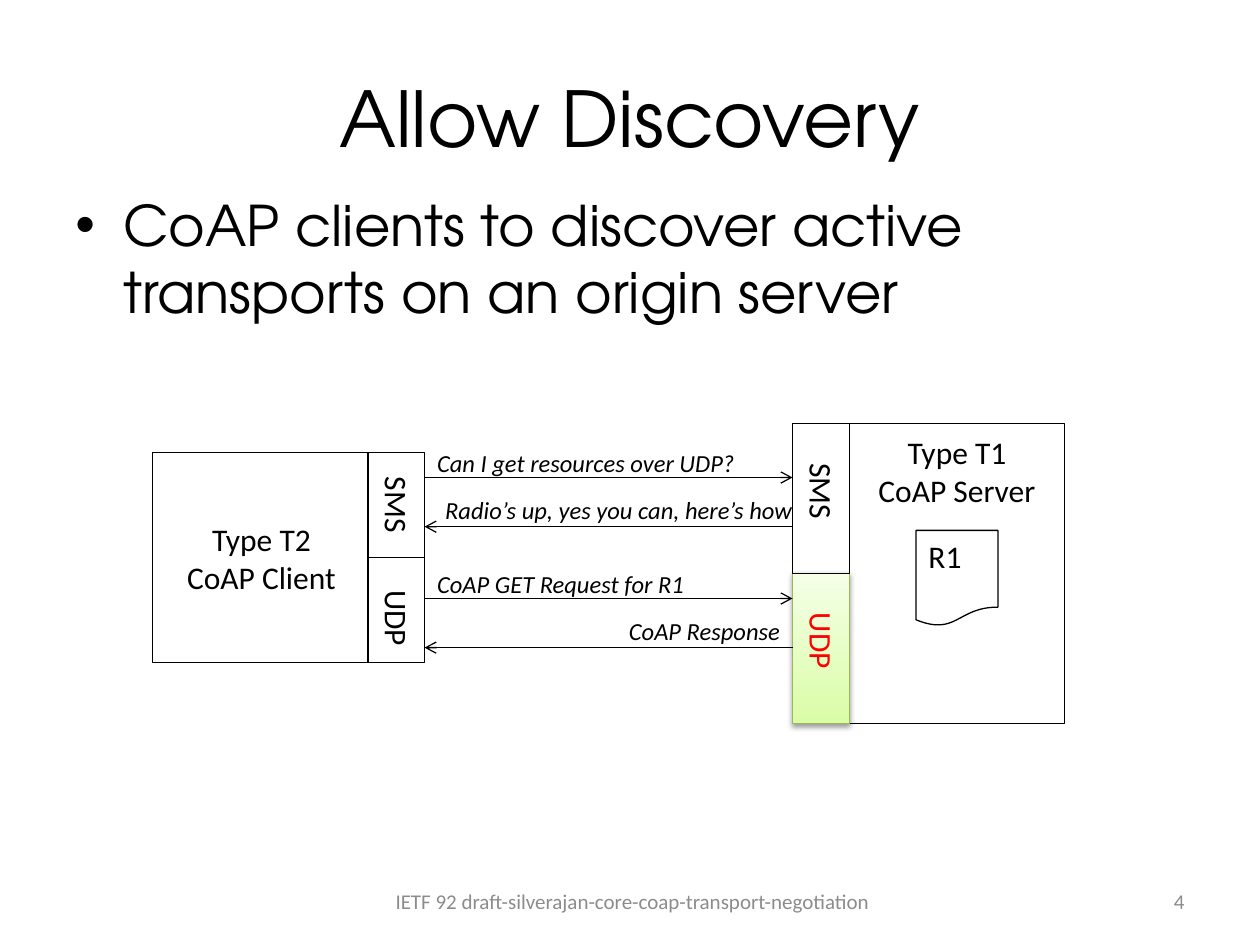
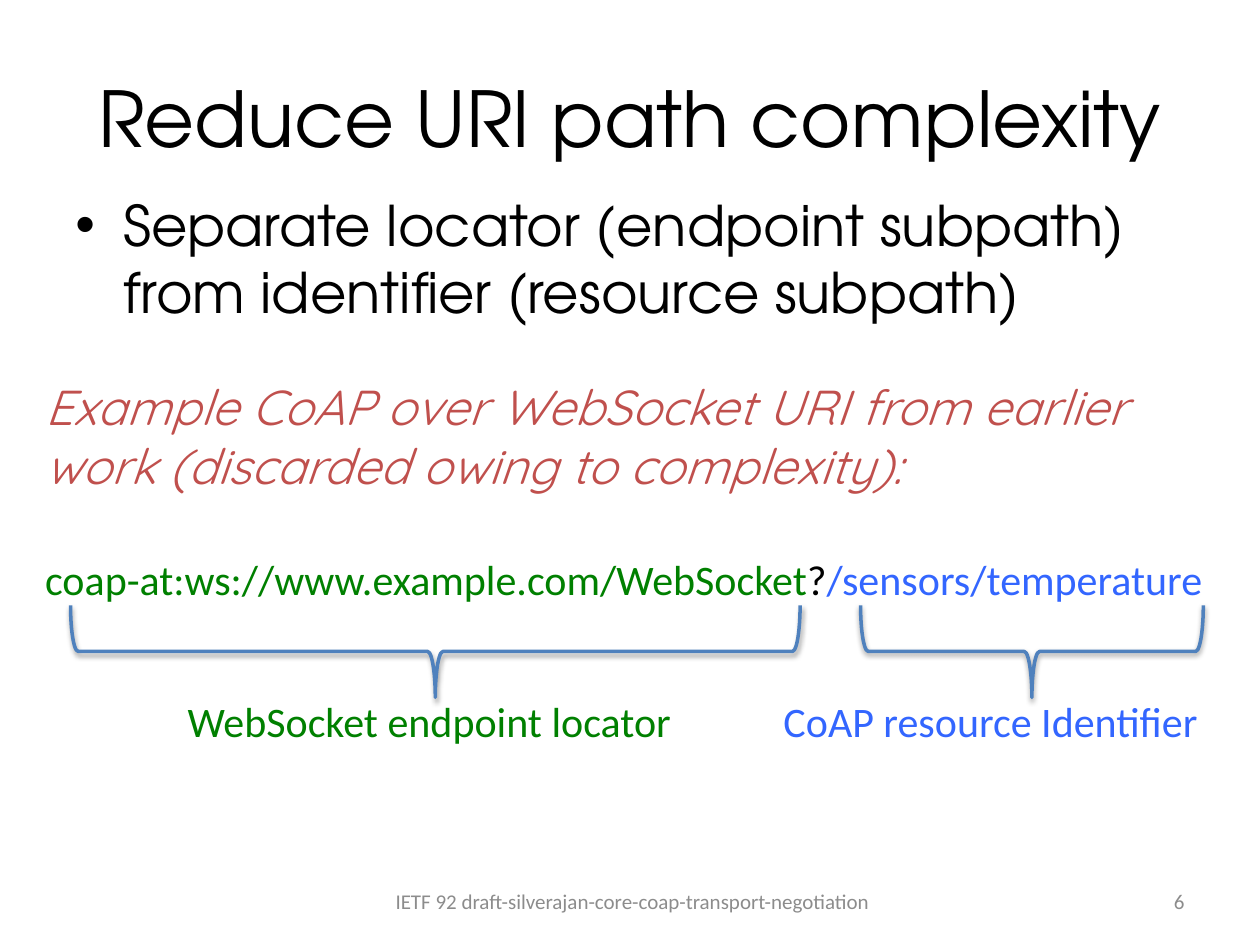
from dataclasses import dataclass

from lxml import etree
from pptx import Presentation
from pptx.dml.color import RGBColor
from pptx.enum.shapes import MSO_CONNECTOR, MSO_SHAPE
from pptx.enum.text import MSO_ANCHOR, PP_ALIGN
from pptx.oxml.ns import qn
from pptx.util import Inches, Pt

LEFT, CENTER, RIGHT = PP_ALIGN.LEFT, PP_ALIGN.CENTER, PP_ALIGN.RIGHT
TOP, MIDDLE = MSO_ANCHOR.TOP, MSO_ANCHOR.MIDDLE
RECT, DOCUMENT = MSO_SHAPE.RECTANGLE, MSO_SHAPE.FLOWCHART_DOCUMENT
BRACE, STRAIGHT = MSO_SHAPE.LEFT_BRACE, MSO_CONNECTOR.STRAIGHT


@dataclass(frozen=True)
class Theme:
    heading: str = "TeX Gyre Adventor"
    accent: str = "Quicksand"
    body: str = "Calibri"
    black: str = "000000"
    grey: str = "8C8C8C"
    red: str = "FF0000"
    brick: str = "C0504D"
    green: str = "008000"
    blue: str = "3366FF"
    brace: str = "4F81BD"
    active_line: str = "98B955"
    active_fill: tuple = ("DAFDA7", "F5FFE7")
    title_pt: int = 44
    bullet_pt: int = 32
    example_pt: int = 28
    uri_pt: int = 24
    node_pt: int = 18
    message_pt: int = 14
    footer_pt: int = 12
    line_pt: float = 0.75
    brace_pt: float = 2


T = Theme()
COLS, ROWS = 100, 75  # slide grid
PORT_W = 4.5          # columns of a transport port


@dataclass(frozen=True)
class Box:
    """Area in grid columns and rows."""
    x: float
    y: float
    w: float
    h: float

    def area(self, x, y, w, h):
        return Box(self.x + x, self.y + y, w, h)

    def turned(self):
        """Frame that fills this box after a quarter turn."""
        return Box(self.x + (self.w - self.h) / 2,
                   self.y + (self.h - self.w) / 2, self.h, self.w)

    def emu(self):
        return [grid(v) for v in (self.x, self.y, self.w, self.h)]


prs = Presentation()
prs.slide_width, prs.slide_height = Inches(10), Inches(7.5)


def grid(v):
    return int(v * prs.slide_width / COLS)


def rgb(colour):
    return RGBColor.from_string(colour)


# Basic parts

def add_run(p, text, size, colour=T.black, font=T.body, italic=False):
    r = p.add_run()
    r.text = text
    r.font.size, r.font.name, r.font.italic = Pt(size), font, italic
    r.font.color.rgb = rgb(colour)


def text_box(s, box, lines, size, align=LEFT, anchor=TOP, inset=None, rot=0,
             **style):
    sp = s.shapes.add_textbox(*box.emu())
    sp.rotation = rot
    tf = sp.text_frame
    tf.word_wrap, tf.vertical_anchor = True, anchor
    if inset is not None:
        tf.margin_left = tf.margin_right = inset
        tf.margin_top = tf.margin_bottom = inset
    for i, line in enumerate(lines):
        p = tf.add_paragraph() if i else tf.paragraphs[0]
        p.alignment = align
        add_run(p, line, size, **style)
    return tf


def outline(s, kind, box, colour=T.black, width=T.line_pt):
    sp = s.shapes.add_shape(kind, *box.emu())
    sp.shadow.inherit = False
    sp.fill.background()
    sp.line.color.rgb, sp.line.width = rgb(colour), Pt(width)
    return sp


def drop_shadow(sp):
    effects = sp._element.spPr.find(qn("a:effectLst"))
    shadow = etree.SubElement(effects, qn("a:outerShdw"), blurRad="40000",
                              dist="20000", dir="5400000", rotWithShape="0")
    colour = etree.SubElement(shadow, qn("a:srgbClr"), val=T.black)
    etree.SubElement(colour, qn("a:alpha"), val="38000")


def line(s, x1, y1, x2, y2, arrow=False):
    c = s.shapes.add_connector(STRAIGHT, *[grid(v) for v in (x1, y1, x2, y2)])
    c.line.color.rgb, c.line.width = rgb(T.black), Pt(T.line_pt)
    if arrow:
        etree.SubElement(c._element.spPr.find(qn("a:ln")), qn("a:tailEnd"),
                         type="arrow")
    etree.SubElement(c._element.spPr, qn("a:effectLst"))


# Shared slide frame

def bullet(p):
    pPr = p._p.get_or_add_pPr()
    pPr.set("marL", str(Inches(0.38)))
    pPr.set("indent", str(-Inches(0.38)))
    before = etree.SubElement(pPr, qn("a:spcBef"))
    etree.SubElement(before, qn("a:spcPct"), val="20000")
    etree.SubElement(pPr, qn("a:buFont"), typeface="Arial")
    etree.SubElement(pPr, qn("a:buChar"), char="•")


def base_slide(title, point, number):
    s = prs.slides.add_slide(prs.slide_layouts[6])
    page = Box(0, 0, COLS, ROWS)
    text_box(s, page.area(5, 3, 90, 12.5), [title], T.title_pt, CENTER,
             MIDDLE, font=T.heading)
    tf = text_box(s, page.area(5, 14.6, 90, 14.4), [point], T.bullet_pt,
                  font=T.heading)
    bullet(tf.paragraphs[0])
    text_box(s, page.area(71.7, 69.5, 23.3, 4), [number], T.footer_pt, RIGHT,
             MIDDLE, colour=T.grey)
    text_box(s, page.area(23.5, 69.5, 53.4, 4),
             ["IETF 92 draft-silverajan-core-coap-transport-negotiation"],
             T.footer_pt, CENTER, MIDDLE, colour=T.grey)
    return s


# Discovery diagram

def port_label(s, port, text, lead, colour=T.black):
    """Name running down the port, starting lead rows below its top."""
    strip = port.area((port.w - 3) / 2 + 0.1, lead, 3, 5.7)
    text_box(s, strip.turned(), [text], T.node_pt, inset=0, rot=90,
             colour=colour)


def client(s, box):
    body_w, half = box.w - PORT_W, box.h / 2
    outline(s, RECT, box.area(0, 0, body_w, box.h))
    outline(s, RECT, box.area(body_w, 0, PORT_W, box.h))
    text_box(s, box.area(0.1, 4.9, body_w, 7.1), ["Type T2", "CoAP Client"],
             T.node_pt, CENTER)
    middle = box.y + half
    line(s, box.x + body_w, middle, box.x + box.w, middle)
    for i, (name, lead) in enumerate((("SMS", 1.95), ("UDP", 2.6))):
        port_label(s, box.area(body_w, i * half, PORT_W, half), name, lead)


def server(s, box):
    half, body_w = box.h / 2, box.w - PORT_W
    outline(s, RECT, box.area(PORT_W, 0, body_w, box.h))
    sms, udp = [box.area(0, i * half, PORT_W, half) for i in range(2)]
    # Active transport
    active = outline(s, RECT, udp, T.active_line)
    active.fill.gradient()
    active.fill.gradient_angle = 90
    for stop, colour in zip(active.fill.gradient_stops, T.active_fill):
        stop.color.rgb = rgb(colour)
    drop_shadow(active)
    outline(s, RECT, sms)
    # Resource
    doc = outline(s, DOCUMENT, box.area(9.8, 8.5, 6.5, 7.6))
    tf = doc.text_frame
    tf.vertical_anchor = TOP
    tf.paragraphs[0].alignment = LEFT
    add_run(tf.paragraphs[0], "R1", T.node_pt)
    text_box(s, box.area(PORT_W, 0.3, body_w, 7.1),
             ["Type T1", "CoAP Server"], T.node_pt, CENTER)
    port_label(s, sms, "SMS", 3.15)
    port_label(s, udp, "UDP", 3.15, T.red)


def messages(s, box):
    """Requests point right, responses point left."""
    end = box.x + box.w
    for row, text, reply, gap in (
            (4.3, "Can I get resources over UDP?", False, 0.1),
            (8.2, "Radio’s up, yes you can, here’s how", True, 0),
            (13.9, "CoAP GET Request for R1", False, 0.1),
            (17.8, "CoAP Response", True, 0.1)):
        y = box.y + row
        ends = (end, box.x) if reply else (box.x, end)
        line(s, ends[0], y, ends[1], y, arrow=True)
        tf = text_box(s, box.area(0, row - (3 if reply else 2.8), box.w, 3.4),
                      [text], T.message_pt, RIGHT if reply else LEFT,
                      italic=True)
        tf.margin_left = tf.margin_right = Inches(gap)


def discovery_diagram(s, box):
    node_w = 21.6
    server(s, box.area(box.w - node_w, 0, node_w, box.h))
    client(s, box.area(0, 2.3, node_w, 16.7))
    messages(s, box.area(node_w, 0, box.w - 2 * node_w, box.h))


# URI example

def uri_example(s, box):
    tf = text_box(s, box.area(0, 0, box.w, 23.2),
                  ["Example CoAP over WebSocket URI from earlier work "
                   "(discarded owing to complexity):"],
                  T.example_pt, colour=T.brick, font=T.accent, italic=True)
    p = tf.add_paragraph()
    p.space_before = Pt(34)
    for text, colour in (("coap-at:ws://www.example.com/WebSocket", T.green),
                         ("?", T.black), ("/sensors/temperature", T.blue)):
        add_run(p, text, T.uri_pt, colour)
    # Names under the two halves of the URI
    for x, w, text, colour in (
            (11.3, 40.8, "WebSocket endpoint locator", T.green),
            (58.6, 35.3, "CoAP resource Identifier", T.blue)):
        text_box(s, box.area(x, 25.3, w, 5), [text], T.uri_pt, colour=colour)
    for x, w in ((3, 57.9), (65.7, 27.2)):
        sp = outline(s, BRACE, box.area(x, 18.65, w, 7.3).turned(), T.brace,
                     T.brace_pt)
        sp.rotation = 270
        drop_shadow(sp)


s = base_slide("Allow Discovery",
               "CoAP clients to discover active transports on an origin "
               "server", "4")
discovery_diagram(s, Box(12.1, 33.6, 72.4, 23.8))

s = base_slide("Reduce URI path complexity",
               "Separate locator (endpoint subpath) from identifier "
               "(resource subpath)", "6")
uri_example(s, Box(2.6, 29.4, 96.9, 30.3))

prs.save("out.pptx")
